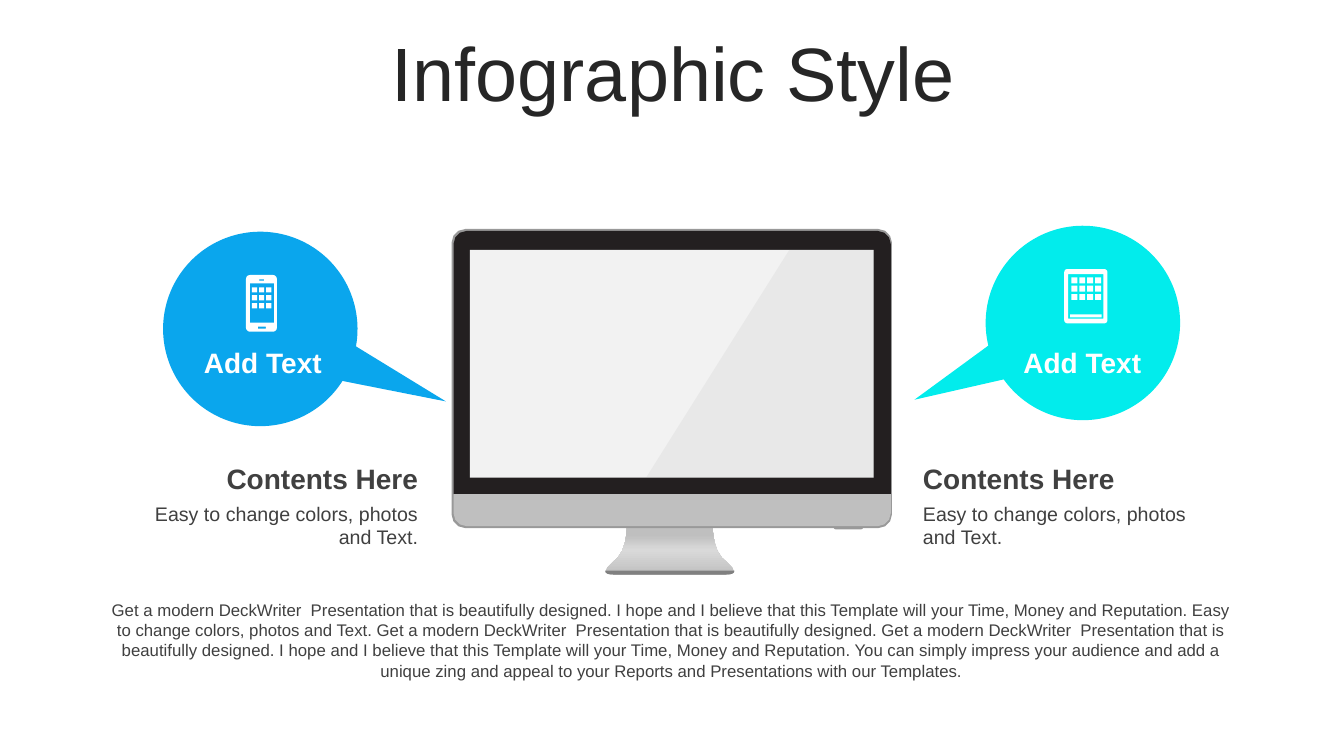
from math import cos, radians, sin

from lxml.etree import SubElement
from pptx import Presentation
from pptx.dml.color import RGBColor
from pptx.enum.shapes import MSO_SHAPE as Preset
from pptx.enum.text import MSO_ANCHOR as Anchor, PP_ALIGN as Align
from pptx.oxml.ns import qn
from pptx.util import Cm, Pt

FONT = "Arial"
COLORS = {
    "title": "262626",
    "text": "404040",
    "white": "FFFFFF",
    "blue": "0AA6ED",
    "cyan": "02ECEC",
    "edge": "999999",
    "bezel": "231F20",
    "chin": "BFBFBF",
    "highlight": "D9D9D9",
    "foot": "808080",
    "screen": "F2F2F2",
}
INTRO = "Get a modern DeckWriter  Presentation that is beautifully designed."
HOPE = ("I hope and I believe that this Template will your Time, "
        "Money and Reputation.")
EASY = "Easy to change colors, photos and Text."
CLOSING = ("You can simply impress your audience and add a unique zing and "
           "appeal to your Reports and Presentations with our Templates.")
SUMMARY = " ".join([INTRO, HOPE, EASY, INTRO, INTRO, HOPE, CLOSING])


def paint(shape, color):
    """Give a shape a plain fill without line or shadow."""
    shape.shadow.inherit = False
    shape.line.fill.background()
    shape.fill.solid()
    shape.fill.fore_color.rgb = RGBColor.from_string(COLORS[color])


def rounded_outline(left, top, width, height, top_radius=0, bottom_radius=0):
    """Return the points of a rectangle with rounded top and bottom corners."""
    right, bottom = left + width, top + height
    corners = [
        (left + top_radius, top + top_radius, top_radius, 180),
        (right - top_radius, top + top_radius, top_radius, 270),
        (right - bottom_radius, bottom - bottom_radius, bottom_radius, 0),
        (left + bottom_radius, bottom - bottom_radius, bottom_radius, 90),
    ]
    return [
        (x + radius * cos(radians(start + step)),
         y + radius * sin(radians(start + step)))
        for x, y, radius, start in corners
        for step in (range(0, 91, 30) if radius else (0,))
    ]


def curve(start, control_1, control_2, end, steps=5):
    """Return points along a cubic Bézier curve."""
    points = []
    for step in range(steps + 1):
        t = step / steps
        weights = ((1 - t) ** 3, 3 * t * (1 - t) ** 2, 3 * t ** 2 * (1 - t), t ** 3)
        controls = (start, control_1, control_2, end)
        points.append(tuple(
            sum(weight * point[axis] for weight, point in zip(weights, controls))
            for axis in (0, 1)))
    return points


def mirrored(center, profile):
    """Return a symmetric outline from a profile of offsets and heights."""
    right = [(center + offset, y) for offset, y in profile]
    left = [(center - offset, y) for offset, y in reversed(profile)]
    return right + left


def add_outlines(slide, outlines, color):
    """Draw closed outlines as one freeform, nested ones becoming holes."""
    builder = None
    for outline in outlines:
        first, *rest = [(Cm(x), Cm(y)) for x, y in outline]
        if builder is None:
            builder = slide.shapes.build_freeform(*first)
        else:
            builder.move_to(*first)
        builder.add_line_segments(rest, close=True)
    shape = builder.convert_to_shape()
    paint(shape, color)
    return shape


def set_gradient(shape, stops):
    """Fill a shape with a vertical gradient of (percent, color) stops."""
    shape.fill.gradient()
    shape.fill.gradient_angle = 90
    stop_list = shape.element.spPr.find(".//" + qn("a:gsLst"))
    stop_list[:] = []
    for percent, color in stops:
        stop = SubElement(stop_list, qn("a:gs"), pos=str(percent * 1000))
        SubElement(stop, qn("a:srgbClr"), val=COLORS[color])


def set_opacity(shape, percent):
    """Make the solid fill of a shape partly transparent."""
    color = shape.element.spPr.find(qn("a:solidFill"))[0]
    SubElement(color, qn("a:alpha"), val=str(percent * 1000))


def format_text(shape, text, size, color, align, bold=False):
    """Write one formatted paragraph into a shape and return it."""
    frame = shape.text_frame
    frame.word_wrap = True
    frame.text = text
    paragraph = frame.paragraphs[0]
    paragraph.alignment = align
    font = paragraph.runs[0].font
    font.name, font.size, font.bold = FONT, Pt(size), bold
    font.color.rgb = RGBColor.from_string(COLORS[color])
    return paragraph


def add_text(slide, box, text, size, color, align, bold=False):
    """Add a text box at (left, top, width, height) in centimetres."""
    textbox = slide.shapes.add_textbox(*map(Cm, box))
    format_text(textbox, text, size, color, align, bold)


def add_title(slide, text):
    """Place and format the slide title."""
    title = slide.shapes.title
    title.left, title.top, title.width, title.height = map(
        Cm, (0.89, 0.94, 32.16, 2.01))
    title.text_frame.vertical_anchor = Anchor.MIDDLE
    paragraph = format_text(title, text, 54, "title", Align.CENTER)
    paragraph.line_spacing = 0.9
    paragraph.space_before = Pt(10)


def add_monitor(slide):
    """Draw the desktop monitor with its stand."""
    center = 16.88
    neck = curve((1.08, 13.28), (1.08, 13.28), (1.08, 13.81), (1.31, 14.05))
    flare = curve((1.31, 14.05), (1.54, 14.27), (1.89, 14.5), (1.26, 14.5))
    stand = add_outlines(slide, [mirrored(center, neck + flare[1:])], "chin")
    set_gradient(stand, [(0, "chin"), (53, "highlight"), (83, "chin"), (100, "chin")])

    for box, color in [
        ((11.38, 5.77, 11.1, 7.54, 0.35, 0.35), "edge"),
        ((21.01, 13.26, 0.74, 0.08, 0, 0.05), "edge"),
        ((11.43, 5.82, 11.02, 6.63, 0.33, 0), "bezel"),
        ((11.43, 12.45, 11.02, 0.81, 0, 0.33), "chin"),
    ]:
        add_outlines(slide, [rounded_outline(*box)], color)

    foot = curve((1.63, 14.38), (1.63, 14.48), (1.52, 14.48), (1.26, 14.48))
    add_outlines(slide, [mirrored(center, foot)], "foot")
    screen = slide.shapes.add_shape(
        Preset.RECTANGLE, Cm(11.84), Cm(6.3), Cm(10.18), Cm(5.74))
    paint(screen, "screen")
    glare = [(19.89, 6.3), (22.02, 6.3), (22.02, 12.04), (16.28, 12.04)]
    set_opacity(add_outlines(slide, [glare], "edge"), 10)


def add_callout(slide, left, top, adjustments, color):
    """Add a round, rotated speech bubble."""
    callout = slide.shapes.add_shape(
        Preset.OVAL_CALLOUT, Cm(left), Cm(top), Cm(4.9), Cm(4.9))
    callout.rotation = 31.4
    for index, value in enumerate(adjustments):
        callout.adjustments[index] = value
    paint(callout, color)


def add_device(slide, body, details, columns, origin, pitch, cell):
    """Draw a device icon from its body, details and three rows of app cells."""
    left, top = origin
    cells = [
        (left + column * pitch[0], top + row * pitch[1], cell, cell)
        for row in range(3) for column in range(columns)
    ]
    outlines = [rounded_outline(*box) for box in [body, *details, *cells]]
    add_outlines(slide, outlines, "white")


def main():
    """Build the slide and save it."""
    presentation = Presentation()
    presentation.slide_width, presentation.slide_height = Cm(33.87), Cm(19.05)
    slide = presentation.slides.add_slide(presentation.slide_layouts[5])
    add_title(slide, "Infographic Style")
    add_monitor(slide)
    add_callout(slide, 24.84, 5.69, (-0.534, 0.788), "cyan")
    add_callout(slide, 4.11, 5.84, (1.009, -0.179), "blue")

    for label_left, left, width, align in [
        (4.57, 3.53, 7.26, Align.RIGHT),
        (25.22, 23.01, 7.32, Align.LEFT),
    ]:
        add_text(slide, (label_left, 8.59, 4.11, 1.11), "Add Text", 20,
                 "white", Align.CENTER, True)
        add_text(slide, (left, 11.51, width, 1.11), "Contents Here", 20,
                 "text", align, True)
        add_text(slide, (left, 12.52, width, 1.45), EASY, 14, "text", align)
    add_text(slide, (2.41, 14.99, 29.03, 2.31), SUMMARY, 12, "text", Align.CENTER)

    add_device(slide, (26.82, 6.78, 1.09, 1.37, 0.08, 0.08),
               [(26.92, 6.91, 0.89, 1.12), (26.97, 7.92, 0.79, 0.08)],
               4, (27, 6.99), (0.2, 0.21), 0.15)
    add_device(slide, (6.2, 6.93, 0.78, 1.43, 0.1, 0.1),
               [(6.3, 7.14, 0.61, 0.99), (6.5, 8.23, 0.2, 0.05),
                (6.53, 7.04, 0.13, 0.03)],
               3, (6.35, 7.24), (0.18, 0.2), 0.13)
    presentation.save("out.pptx")


if __name__ == "__main__":
    main()
